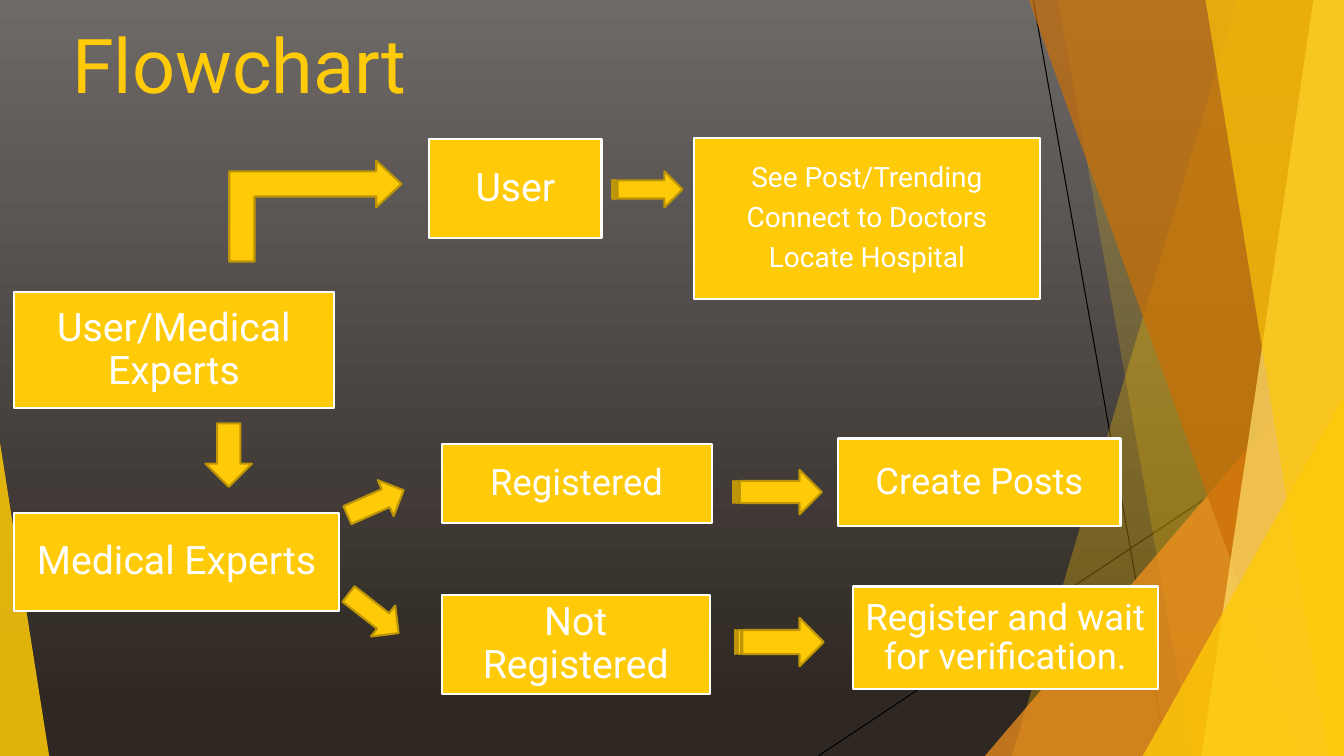
from lxml import etree
from pptx import Presentation
from pptx.dml.color import RGBColor
from pptx.enum.shapes import MSO_CONNECTOR, MSO_SHAPE
from pptx.enum.text import MSO_ANCHOR, PP_ALIGN
from pptx.oxml.ns import qn
from pptx.util import Cm, Pt

RECTANGLE = MSO_SHAPE.RECTANGLE
TRIANGLE = MSO_SHAPE.ISOSCELES_TRIANGLE
BENT = MSO_SHAPE.BENT_UP_ARROW
DOWN = MSO_SHAPE.DOWN_ARROW
STRIPED = MSO_SHAPE.STRIPED_RIGHT_ARROW
STRAIGHT = MSO_CONNECTOR.STRAIGHT
MIDDLE, TOP = MSO_ANCHOR.MIDDLE, MSO_ANCHOR.TOP
CENTER, LEFT = PP_ALIGN.CENTER, PP_ALIGN.LEFT

WIDTH, HEIGHT = 33.87, 19.05
COLORS = {
    "gold": "FFCA08", "orange": "F8931D", "brown": "CA6F06", "pale": "FFDF6B",
    "edge": "BD9506", "white": "FFFFFF", "black": "000000",
    "sky": "6D6967", "ground": "2E2722",
}


class FlowchartPage:
    font = "Roboto"

    def __init__(self, deck):
        self.page = deck.slides.add_slide(deck.slide_layouts[6])
        self.shapes = self.page.shapes

    def color(self, name):
        return RGBColor.from_string(COLORS[name])

    def background(self, top, bottom):
        fill = self.page.background.fill
        fill.gradient()
        fill.gradient_angle = 270
        for stop, name, position in zip(fill.gradient_stops, (top, bottom), (0, 0.94)):
            stop.color.rgb = self.color(name)
            stop.position = position

    def paint(self, shape, fill, edge=None, opacity=100):
        shape.shadow.inherit = False
        shape.fill.solid()
        shape.fill.fore_color.rgb = self.color(fill)
        if opacity < 100:
            tone = shape._element.spPr.find(qn("a:solidFill"))[0]
            etree.SubElement(tone, qn("a:alpha")).set("val", str(opacity * 1000))
        if edge:
            shape.line.color.rgb = self.color(edge)
            shape.line.width = Pt(1.5)
        else:
            shape.line.fill.background()

    def preset(self, kind, place, fill, edge=None, opacity=100):
        shape = self.shapes.add_shape(kind, *map(Cm, place))
        self.paint(shape, fill, edge, opacity)
        return shape

    def line(self, *ends):
        line = self.shapes.add_connector(STRAIGHT, *map(Cm, ends))
        line.line.color.rgb = self.color("black")
        line.line.width = Pt(0.75)
        etree.SubElement(line._element.spPr, qn("a:effectLst"))

    def facet(self, top, bottom, fill, opacity):
        outline = self.shapes.build_freeform(Cm(top), 0)
        corners = [(WIDTH, 0), (WIDTH, HEIGHT), (bottom, HEIGHT)]
        outline.add_line_segments([(Cm(x), Cm(y)) for x, y in corners])
        self.paint(outline.convert_to_shape(), fill, opacity=opacity)

    def triangle(self, place, apex, fill, opacity):
        self.preset(TRIANGLE, place, fill, opacity=opacity).adjustments[0] = apex

    def add_lines(self, frame, lines, size, color, align, anchor):
        frame.word_wrap = True
        frame.vertical_anchor = anchor
        for index, text in enumerate(lines):
            para = frame.add_paragraph() if index else frame.paragraphs[0]
            para.alignment = align
            span = para.add_run()
            span.text = text
            span.font.name = self.font
            span.font.size = Pt(size)
            span.font.color.rgb = self.color(color)

    def title(self, place, text):
        box = self.shapes.add_textbox(*map(Cm, place))
        self.add_lines(box.text_frame, [text], 54, "gold", LEFT, TOP)

    def step(self, place, size, *lines):
        frame = self.preset(RECTANGLE, place, "gold", "white").text_frame
        inset = Cm(round(size / 93, 2))
        frame.margin_left = frame.margin_right = inset
        frame.margin_top = frame.margin_bottom = inset
        self.add_lines(frame, lines, size, "white", CENTER, MIDDLE)
        for para in frame.paragraphs:
            para.line_spacing = 0.9
            para.space_after = Pt(size * 0.35)

    def arrow(self, kind, place, turn=0):
        arrow = self.preset(kind, place, "gold", "edge")
        arrow.rotation = turn
        return arrow

    def bent_arrow(self, place):
        arrow = self.arrow(BENT, place, 90)
        arrow._element.spPr.xfrm.set("flipH", "1")
        for index, value in enumerate((0.25, 0.23, 0.25)):
            arrow.adjustments[index] = value


deck = Presentation()
deck.slide_width, deck.slide_height = Cm(WIDTH), Cm(HEIGHT)
flow = FlowchartPage(deck)
flow.background("sky", "ground")

flow.line(26.04, 0, 29.41, HEIGHT)
flow.line(WIDTH, 10.24, 20.62, HEIGHT)
flow.facet(31.19, 25.5, "gold", 30)
flow.facet(26.67, 30.05, "gold", 20)
flow.triangle((24.82, 8.46, 9.05, 10.59), 1, "orange", 72)
for facet in [
    (25.93, 32.79, "brown", 70),
    (33.1, 30.28, "pale", 70),
    (30.38, 33.48, "gold", 65),
]:
    flow.facet(*facet)
flow.triangle((28.8, 9.98, 5.07, 9.07), 1, "gold", 80)
flow.triangle((0, 11.15, 1.24, 7.9), 0, "gold", 85)

flow.title((1.57, 0.33, 10.08, 1.9), "Flowchart")

for step in [
    ((0.36, 7.37, 8.05, 2.92), 28, "User/Medical Experts"),
    ((10.82, 3.51, 4.34, 2.49), 28, "User"),
    ((17.48, 3.48, 8.74, 4.06), 20,
     "See Post/Trending", "Connect to Doctors", "Locate Hospital"),
    ((0.36, 12.93, 8.18, 2.46), 28, "Medical Experts"),
    ((11.13, 14.99, 6.76, 2.49), 28, "Not Registered"),
    ((11.13, 11.18, 6.81, 2.01), 26, "Registered"),
    ((21.13, 11.05, 7.11, 2.21), 26, "Create Posts"),
    ((21.49, 14.78, 7.7, 2.59), 26, "Register and wait for verification."),
]:
    flow.step(*step)

flow.bent_arrow((6.68, 3.15, 2.54, 4.34))
for arrow in [
    (DOWN, (5.18, 10.67, 1.17, 1.6)),
    (DOWN, (8.97, 11.89, 0.99, 1.55), 246.1),
    (DOWN, (8.92, 14.66, 0.99, 1.6), 308),
    (STRIPED, (15.42, 4.32, 1.78, 0.91)),
    (STRIPED, (18.52, 15.57, 2.24, 1.22)),
    (STRIPED, (18.47, 11.84, 2.24, 1.12)),
]:
    flow.arrow(*arrow)

deck.save("out.pptx")
